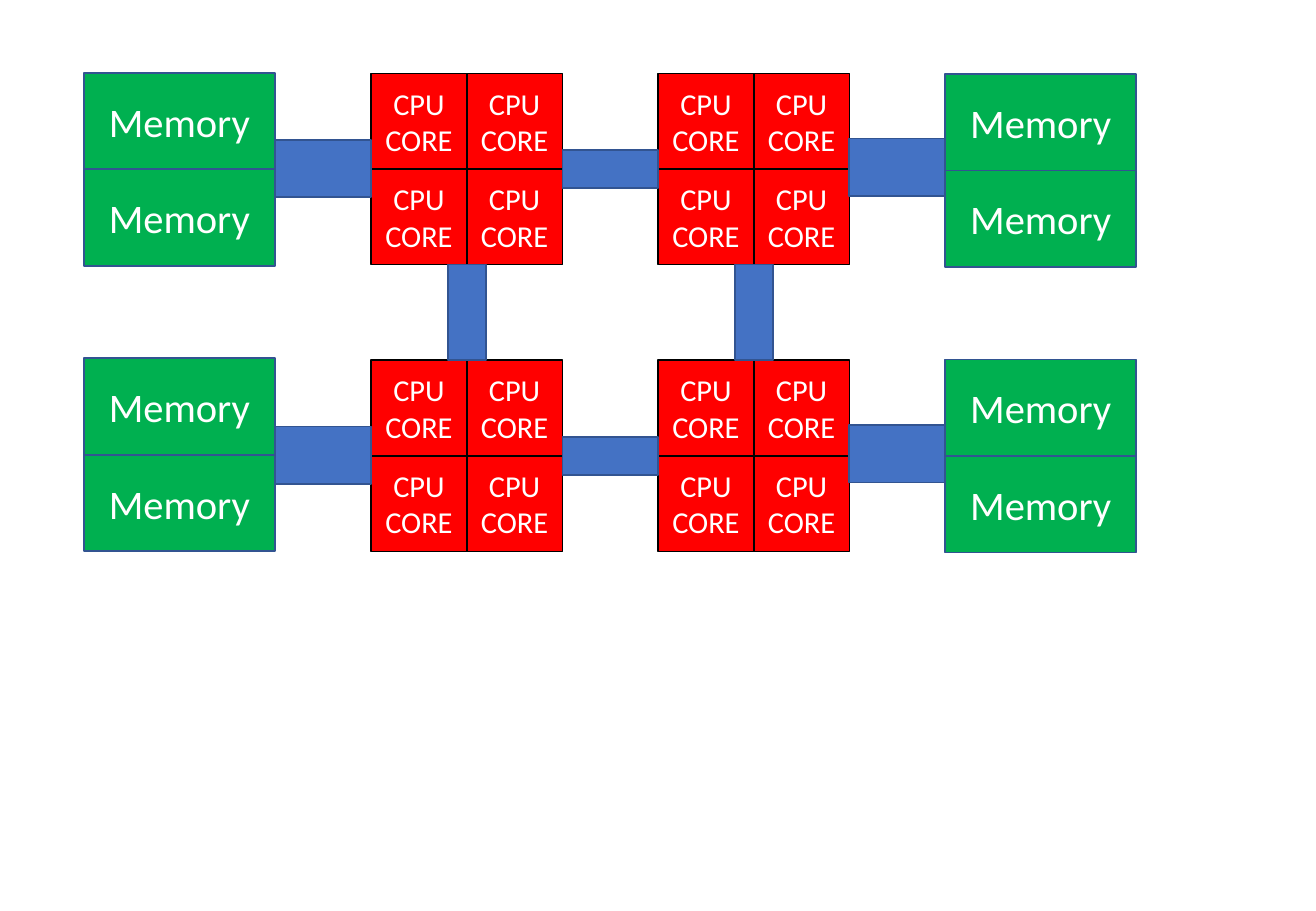
from dataclasses import dataclass

import pptx
import pptx.dml.color
import pptx.enum.shapes
import pptx.enum.text
import pptx.util

RED, GREEN, BLUE = "FF0000", "00B050", "4472C4"
BLACK, NAVY, WHITE = "000000", "325491", "FFFFFF"
FONT = "Calibri"

# Grid in points
CORE = 56.7
CPU = 2 * CORE
CPU_LEFTS = (220, 390.1)
CPU_TOP, ROW_PITCH = 43.5, 170
MEMORY_WIDTH, MEMORY_HEIGHT = 113.3, 57.2
MEMORY_PITCH = 169.2
CPU_LINK, MEMORY_LINK = 22.6, 34


@dataclass(frozen=True)
class Style:
    fill: str
    line: str
    size: float = 18


@dataclass(frozen=True)
class Box:
    left: float
    top: float
    width: float
    height: float
    style: Style
    lines: tuple[str, ...] = ()
    rotation: float = 0


@dataclass(frozen=True)
class MemorySide:
    left: float
    top: float
    link_left: float
    link_middle: float


CORE_STYLE = Style(RED, BLACK)
MEMORY_STYLE = Style(GREEN, NAVY, 24)
LINK_STYLE = Style(BLUE, NAVY)
MEMORY_SIDES = (
    MemorySide(49.7, 43.2, 163.3, 99.8),
    MemorySide(560.2, 43.9, 503.4, 99.1),
)


def color(value: str) -> pptx.dml.color.RGBColor:
    return pptx.dml.color.RGBColor.from_string(value)


def draw_box(shapes, box: Box) -> None:
    lengths = (box.left, box.top, box.width, box.height)
    shape = shapes.add_shape(
        pptx.enum.shapes.MSO_SHAPE.RECTANGLE,
        *(pptx.util.Pt(length) for length in lengths),
    )
    shape.rotation = box.rotation
    shape.shadow.inherit = False
    shape.fill.solid()
    shape.fill.fore_color.rgb = color(box.style.fill)
    shape.line.color.rgb = color(box.style.line)
    shape.line.width = pptx.util.Pt(1)
    frame = shape.text_frame
    frame.word_wrap = True
    frame.vertical_anchor = pptx.enum.text.MSO_ANCHOR.MIDDLE
    for index, line in enumerate(box.lines):
        para = frame.add_paragraph() if index else frame.paragraphs[0]
        para.alignment = pptx.enum.text.PP_ALIGN.CENTER
        span = para.add_run()
        span.text = line
        span.font.name = FONT
        span.font.size = pptx.util.Pt(box.style.size)
        span.font.color.rgb = color(WHITE)


def draw_group(page, boxes: list[Box]) -> None:
    group = page.shapes.add_group_shape()
    for box in boxes:
        draw_box(group.shapes, box)


def draw_link(page, left: float, middle: float, thickness: float, rotation: float = 0) -> None:
    top = middle - thickness / 2
    draw_box(page.shapes, Box(left, top, CORE, thickness, LINK_STYLE, rotation=rotation))


def draw_cpu(page, left: float, top: float) -> None:
    draw_group(page, [
        Box(left + column * CORE, top + row * CORE, CORE, CORE, CORE_STYLE, ("CPU", "CORE"))
        for row in range(2) for column in range(2)
    ])


def draw_memory(page, left: float, top: float) -> None:
    draw_group(page, [
        Box(left, top + row * MEMORY_HEIGHT, MEMORY_WIDTH, MEMORY_HEIGHT, MEMORY_STYLE, ("Memory",))
        for row in range(2)
    ])


def main() -> None:
    deck = pptx.Presentation()
    deck.slide_width = pptx.util.Pt(780)
    deck.slide_height = pptx.util.Pt(540)
    page = deck.slides.add_slide(deck.slide_layouts[6])

    # Processors with four cores each
    for row in range(2):
        for left in CPU_LEFTS:
            draw_cpu(page, left, CPU_TOP + row * ROW_PITCH)

    # Links between processors, across and down
    for row in range(2):
        draw_link(page, CPU_LEFTS[0] + CPU, CPU_TOP + CORE + row * ROW_PITCH, CPU_LINK)
    for left in CPU_LEFTS:
        draw_link(page, left + CORE / 2, CPU_TOP + (CPU + ROW_PITCH) / 2, CPU_LINK, 90)

    # Memory banks and their links
    for side in MEMORY_SIDES:
        for row in range(2):
            draw_memory(page, side.left, side.top + row * MEMORY_PITCH)
            draw_link(page, side.link_left, side.link_middle + row * ROW_PITCH, MEMORY_LINK)

    deck.save("out.pptx")


if __name__ == "__main__":
    main()
